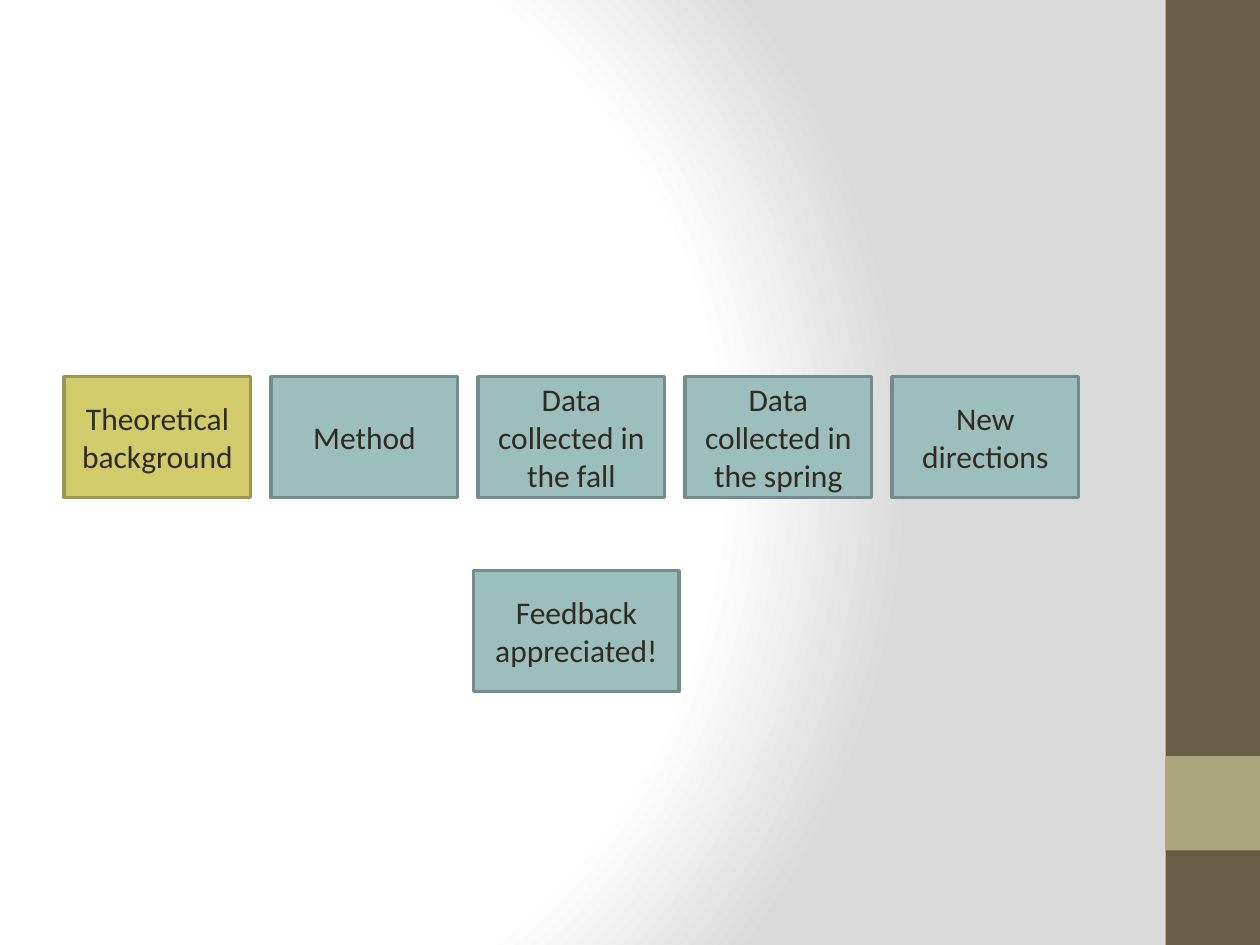
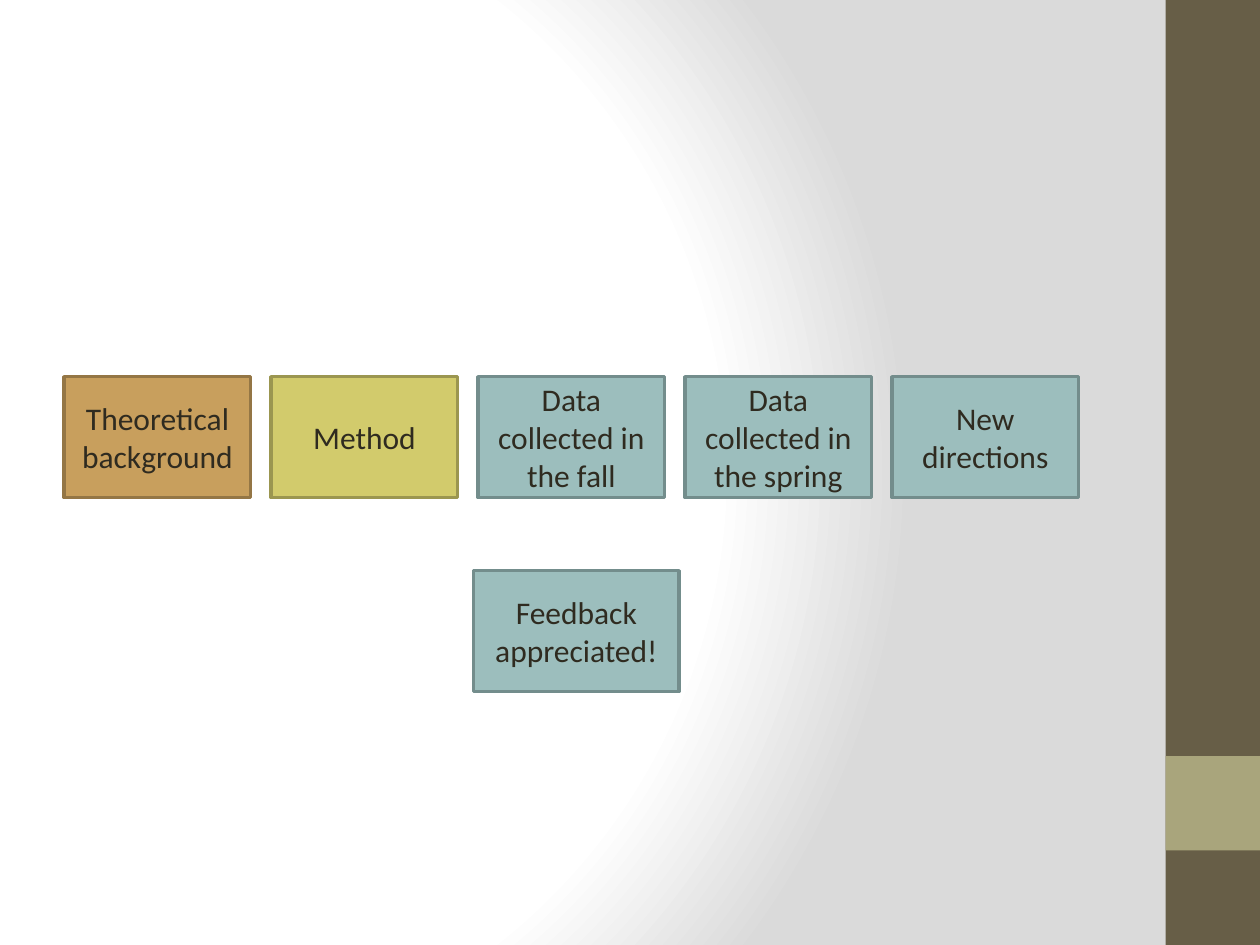
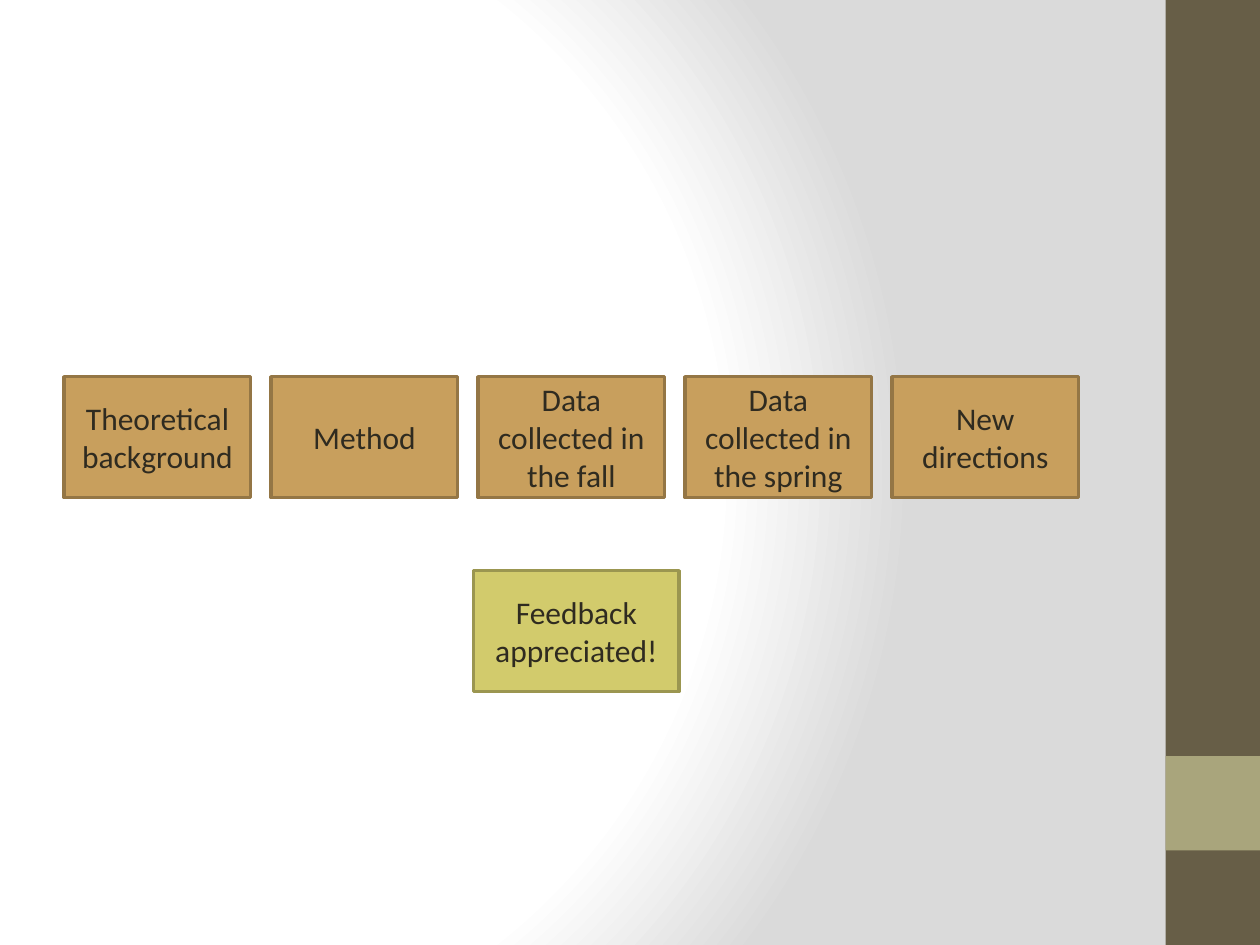
from pptx import Presentation
from pptx.dml.color import RGBColor
from pptx.enum.shapes import MSO_SHAPE
from pptx.enum.text import MSO_ANCHOR, PP_ALIGN
from pptx.oxml import parse_xml
from pptx.oxml.ns import nsdecls, qn
from pptx.util import Inches, Pt

TOPICS = [
    "Theoretical background",
    "Method",
    "Data collected in the fall",
    "Data collected in the spring",
    "New directions",
]
CLOSING = "Feedback appreciated!"
CURRENT_STEPS = [0, 1, len(TOPICS)]

DONE = ("C89F5D", "947645")
CURRENT = ("D2CB6C", "9B9650")
UPCOMING = ("9CBEBD", "738D8C")
INK = "2F2B20"
FONT = "Calibri"

BANDS = [((9.25, 0, 0.75, 7.5), "675E47"), ((9.25, 6, 0.75, 0.75), "A9A57C")]
GLOW_STOPS = [(0, "FFFFFF"), (75, "FFFFFF"), (100, "DADADA")]
GLOW_FOCUS = {"l": 20, "t": 50, "r": 100, "b": 50}

FIRST_LEFT, LAST_LEFT = 0.51, 7.08
ROW_TOP, CLOSING_TOP = 2.99, 4.53
STEP_WIDTH, CLOSING_WIDTH, STEP_HEIGHT = 1.48, 1.63, 0.96
CLOSING_LEFT = 3.76


def color(hex_string):
    """Return the colour for a hex string."""
    return RGBColor.from_string(hex_string)


def add_block(slide, place, fill, outline=None):
    """Add a flat rectangle at left, top, width, height."""
    block = slide.shapes.add_shape(MSO_SHAPE.RECTANGLE, *map(Inches, place))
    block.shadow.inherit = False
    block.fill.solid()
    block.fill.fore_color.rgb = color(fill)
    if outline:
        block.line.color.rgb = color(outline)
        block.line.width = Pt(2)
    else:
        block.line.fill.background()
    return block


def add_step(slide, label, place, status):
    """Add a labelled step in the colours of its status."""
    frame = add_block(slide, place, *status).text_frame
    frame.word_wrap = True
    frame.vertical_anchor = MSO_ANCHOR.MIDDLE
    paragraph = frame.paragraphs[0]
    paragraph.alignment = PP_ALIGN.CENTER
    run = paragraph.add_run()
    run.text = label
    run.font.name = FONT
    run.font.size = Pt(18)
    run.font.color.rgb = color(INK)


def style_master(master, slide):
    """Give the master its radial glow and the side bands drawn on a slide."""
    master.background.fill.gradient()
    linear = master.element.find(".//" + qn("p:bgPr")).find(qn("a:gradFill"))
    stops = "".join(
        f'<a:gs pos="{percent * 1000}"><a:srgbClr val="{shade}"/></a:gs>'
        for percent, shade in GLOW_STOPS
    )
    focus = " ".join(f'{side}="{percent * 1000}"' for side, percent in GLOW_FOCUS.items())
    glow = parse_xml(
        f'<a:gradFill {nsdecls("a")} rotWithShape="1"><a:gsLst>{stops}</a:gsLst>'
        f'<a:path path="circle"><a:fillToRect {focus}/></a:path></a:gradFill>'
    )
    linear.getparent().replace(linear, glow)
    for number, (place, fill) in enumerate(BANDS, start=101):
        band = add_block(slide, place, fill).element
        band.find(".//" + qn("p:cNvPr")).set("id", str(number))
        master.shapes.element.append(band)


def step_status(index, current):
    """Return the colours of a step relative to the current one."""
    if index == current:
        return CURRENT
    return DONE if index < current else UPCOMING


def add_agenda(slide, current):
    """Lay out the row of topics and the closing step."""
    pitch = (LAST_LEFT - FIRST_LEFT) / (len(TOPICS) - 1)
    steps = [
        (topic, (FIRST_LEFT + index * pitch, ROW_TOP, STEP_WIDTH, STEP_HEIGHT))
        for index, topic in enumerate(TOPICS)
    ]
    steps.append((CLOSING, (CLOSING_LEFT, CLOSING_TOP, CLOSING_WIDTH, STEP_HEIGHT)))
    for index, (label, place) in enumerate(steps):
        add_step(slide, label, place, step_status(index, current))


def main():
    """Build the agenda slides and save them."""
    deck = Presentation()
    deck.slide_width, deck.slide_height = Inches(10), Inches(7.5)
    slides = [deck.slides.add_slide(deck.slide_layouts[6]) for _ in CURRENT_STEPS]
    style_master(deck.slide_master, slides[0])
    for slide, current in zip(slides, CURRENT_STEPS):
        add_agenda(slide, current)
    deck.save("out.pptx")


if __name__ == "__main__":
    main()
